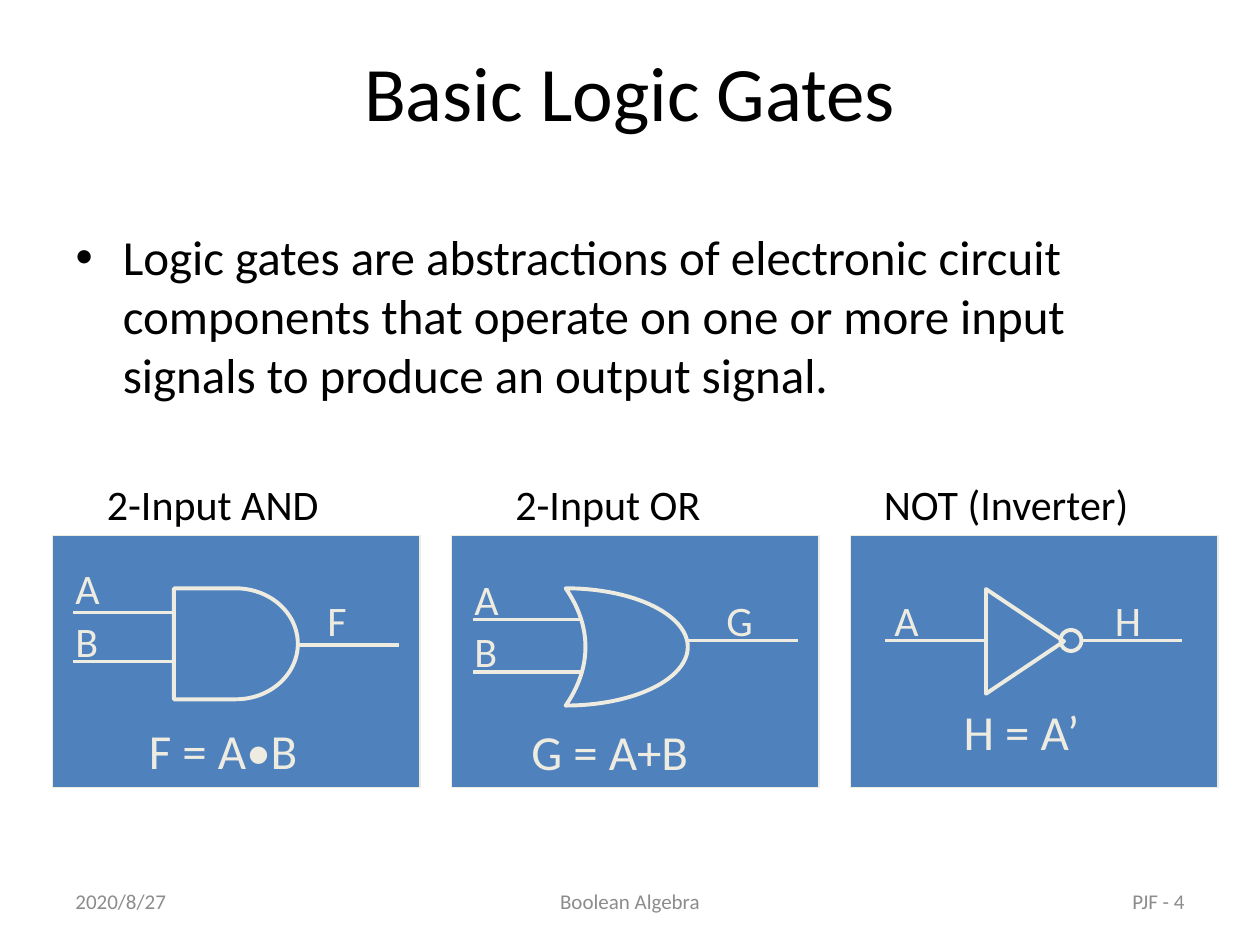
from pptx import Presentation
from pptx.util import Pt
from pptx.dml.color import RGBColor
from pptx.enum.shapes import MSO_SHAPE, MSO_CONNECTOR
from pptx.enum.text import PP_ALIGN, MSO_ANCHOR
from pptx.oxml.ns import qn
from lxml import etree

RECT, DELAY, MOON = MSO_SHAPE.RECTANGLE, MSO_SHAPE.FLOWCHART_DELAY, MSO_SHAPE.MOON
TRI, OVAL = MSO_SHAPE.ISOSCELES_TRIANGLE, MSO_SHAPE.OVAL
STRAIGHT = MSO_CONNECTOR.STRAIGHT
LEFT, CENTER, RIGHT = PP_ALIGN.LEFT, PP_ALIGN.CENTER, PP_ALIGN.RIGHT
TOP, MIDDLE = MSO_ANCHOR.TOP, MSO_ANCHOR.MIDDLE
BLACK, GRAY, CREAM, BLUE = "000000", "8C8C8C", "EEECE1", "4F81BD"
color = RGBColor.from_string

deck = Presentation()
deck.slide_width, deck.slide_height = Pt(720), Pt(540)
slide = deck.slides.add_slide(deck.slide_layouts[1])
shapes = slide.shapes


def write(box, text, size, ink, align=LEFT, anchor=TOP):
    frame = box.text_frame
    frame.word_wrap = True
    frame.vertical_anchor = anchor
    frame.text = text
    para = frame.paragraphs[0]
    para.alignment = align
    para.font.name, para.font.size = "Calibri", Pt(size)
    para.font.color.rgb = color(ink)


def outline(parent, kind, x, y, w, h, weight=2.25):
    shape = parent.add_shape(kind, Pt(x), Pt(y), Pt(w), Pt(h))
    shape.shadow.inherit = False
    shape.fill.background()
    shape.line.color.rgb = color(CREAM)
    shape.line.width = Pt(weight)
    return shape


title, body = shapes.title, slide.placeholders[1]
title.left, title.top, title.width, title.height = Pt(36), Pt(21.6), Pt(648), Pt(90)
write(title, "Basic Logic Gates", 44, BLACK, CENTER)
body.left, body.top, body.width, body.height = Pt(36), Pt(126), Pt(648), Pt(356.4)
write(body, "Logic gates are abstractions of electronic circuit components "
      "that operate on one or more input signals to produce an output signal.", 28, BLACK)

for text, x, w, align in [
    ("2020/8/27", 36, 168, LEFT),
    ("Boolean Algebra", 246, 228, CENTER),
    ("PJF - 4", 516, 168, RIGHT),
]:
    foot = shapes.add_textbox(Pt(x), Pt(500.4), Pt(w), Pt(28.8))
    write(foot, text, 12, GRAY, align, MIDDLE)

for col in range(3):
    panel = outline(shapes, RECT, 30 + 228 * col, 306, 210, 144, 0.75)
    panel.fill.solid()
    panel.fill.fore_color.rgb = color(BLUE)

both = shapes.add_group_shape().shapes
outline(both, DELAY, 99.4, 336.2, 70.8, 63.4)
moon = outline(shapes, MOON, 323.3, 336.2, 69.8, 67)
moon.adjustments[0] = 0.838
moon._element.spPr.find(qn("a:xfrm")).set("flipH", "1")
outline(shapes, TRI, 555.8, 344.2, 59.8, 44.6).rotation = 90
outline(shapes, OVAL, 606, 360, 12, 12)

for parent, start, end, y in [
    (both, 41.8, 99.4, 350), (both, 41.8, 99.4, 378), (both, 170.6, 228.2, 368.6),
    (shapes, 270, 332.6, 354), (shapes, 270, 332.6, 384), (shapes, 393, 456, 366),
    (shapes, 506, 564, 366), (shapes, 618, 675.4, 366),
]:
    wire = parent.add_connector(STRAIGHT, Pt(start), Pt(y), Pt(end), Pt(y))
    wire.line.color.rgb = color(CREAM)
    wire.line.width = Pt(2.25)
    etree.SubElement(wire._element.spPr, qn("a:effectLst"))

for text, x, y, w, size, ink in [
    ("2-Input AND", 54, 270, 163, 24, BLACK),
    (" 2-Input OR", 282, 270, 150, 24, BLACK),
    ("NOT (Inverter)", 498, 270, 192, 24, BLACK),
    ("A", 36, 318, 36, 24, CREAM),
    ("B", 36, 348, 36, 24, CREAM),
    ("F", 180, 336, 36, 24, CREAM),
    ("A", 264, 324, 36, 24, CREAM),
    ("B", 264, 354, 36, 24, CREAM),
    ("G", 408, 336, 36, 24, CREAM),
    ("A", 504, 336, 36, 24, CREAM),
    ("H", 630, 336, 36, 24, CREAM),
    ("F = A•B", 78, 408, 112, 28, CREAM),
    ("G = A+B", 296.6, 409, 116, 28, CREAM),
    ("H = A’", 543.6, 397.4, 92, 28, CREAM),
]:
    label = shapes.add_textbox(Pt(x), Pt(y), Pt(w), Pt(1.5 * size))
    write(label, text, size, ink)

deck.save("out.pptx")
